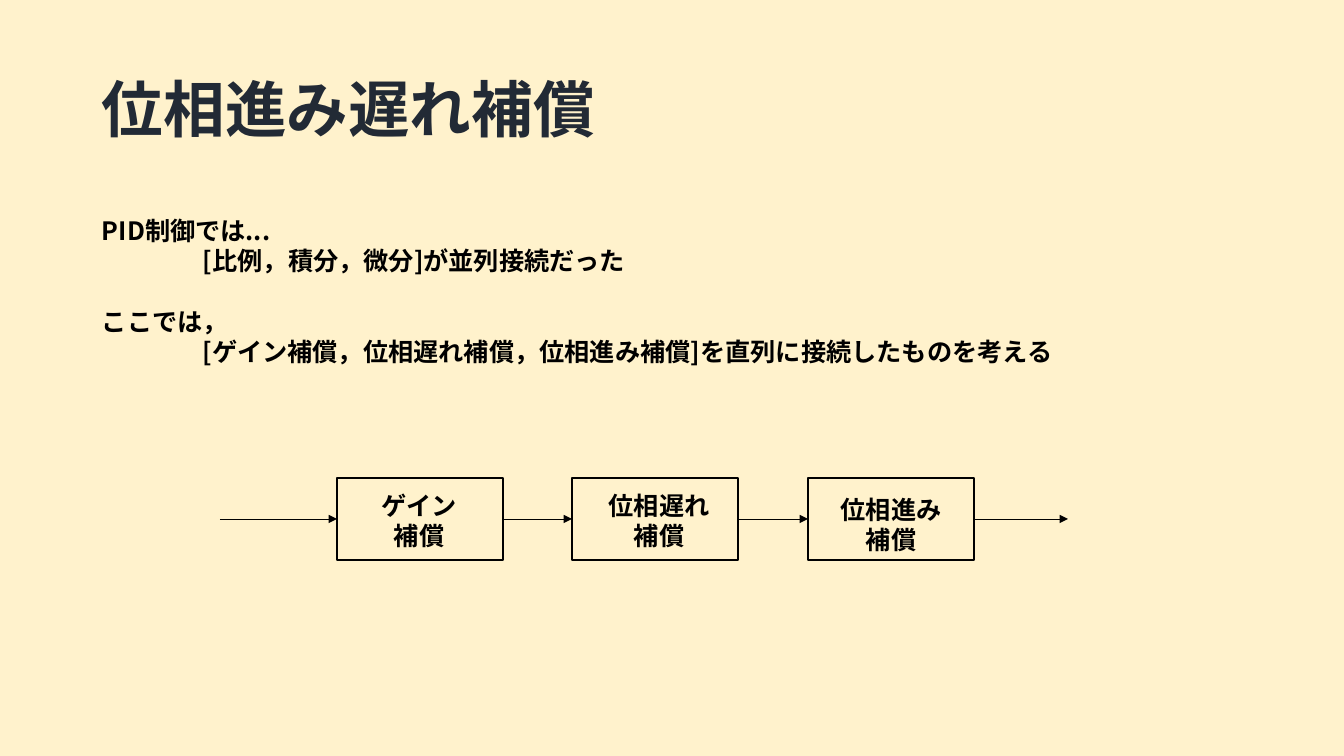
from dataclasses import dataclass

from lxml.etree import SubElement
from pptx import Presentation
from pptx.dml.color import RGBColor
from pptx.enum.lang import MSO_LANGUAGE_ID
from pptx.enum.shapes import MSO_CONNECTOR, MSO_SHAPE
from pptx.enum.text import MSO_ANCHOR, PP_ALIGN
from pptx.oxml.ns import qn
from pptx.shapes.autoshape import Shape
from pptx.slide import Slide
from pptx.text.text import _Paragraph
from pptx.util import Emu, Pt

SLIDE_WIDTH, SLIDE_HEIGHT = 1344, 756
EMU_PER_PX = 12192000 / SLIDE_WIDTH
FONT = "Noto Sans CJK JP"
COLORS = {"background": "FFF2CC", "title": "222A35", "ink": "000000"}

BLOCK_TOP, BLOCK_WIDTH, BLOCK_HEIGHT = 478, 166, 82
SIGNAL_Y = BLOCK_TOP + BLOCK_HEIGHT // 2
SIGNAL_START, SIGNAL_END = 220, 1068
LABEL_WIDTH, LABEL_HEIGHT = 126, 72
INDENT = 101
BODY_SIZE = 18


@dataclass
class Line:
    text: str
    indent: int = 0
    space_before: float = 0


@dataclass
class Block:
    left: int
    label_left: int
    label_top: int
    lines: list[Line]


BODY = [
    Line("PID制御では..."),
    Line("[比例，積分，微分]が並列接続だった", INDENT),
    Line("ここでは，", space_before=21.7),
    Line("[ゲイン補償，位相遅れ補償，位相進み補償]を直列に接続したものを考える", INDENT),
]
BLOCKS = [
    Block(337, 356, 485, [Line("ゲイン"), Line("補償")]),
    Block(572, 596, 485, [Line("位相遅れ"), Line("補償")]),
    Block(808, 828, 489, [Line("位相進み"), Line("補償")]),
]


def px(length: int) -> Emu:
    return Emu(round(length * EMU_PER_PX))


def color(name: str) -> RGBColor:
    return RGBColor.from_string(COLORS[name])


def add_run(paragraph: _Paragraph, text: str, size: int, color_name: str) -> None:
    run = paragraph.add_run()
    run.text = text
    font = run.font
    font.size = Pt(size)
    font.bold = True
    font.color.rgb = color(color_name)
    font.name = FONT
    font.language_id = MSO_LANGUAGE_ID.JAPANESE
    SubElement(font._element, qn("a:ea"), typeface=FONT)


def add_text(slide: Slide, left: int, top: int, width: int, height: int, lines: list[Line],
             size: int = BODY_SIZE, color_name: str = "ink",
             alignment: PP_ALIGN = PP_ALIGN.LEFT) -> Shape:
    box = slide.shapes.add_textbox(px(left), px(top), px(width), px(height))
    frame = box.text_frame
    frame.word_wrap = True
    for index, line in enumerate(lines):
        paragraph = frame.paragraphs[0] if index == 0 else frame.add_paragraph()
        paragraph.alignment = alignment
        if line.space_before:
            paragraph.space_before = Pt(line.space_before)
        if line.indent:
            paragraph._p.get_or_add_pPr().set("marL", str(px(line.indent)))
        add_run(paragraph, line.text, size, color_name)
    return box


def add_block(slide: Slide, block: Block) -> Shape:
    rectangle = slide.shapes.add_shape(MSO_SHAPE.RECTANGLE, px(block.left), px(BLOCK_TOP),
                                       px(BLOCK_WIDTH), px(BLOCK_HEIGHT))
    rectangle.shadow.inherit = False
    rectangle.fill.background()
    rectangle.line.color.rgb = color("ink")
    rectangle.line.width = Pt(1)
    add_text(slide, block.label_left, block.label_top, LABEL_WIDTH, LABEL_HEIGHT,
             block.lines, alignment=PP_ALIGN.CENTER)
    return rectangle


def add_signal(slide: Slide, source: Shape | None, target: Shape | None) -> None:
    """Draw an arrow between blocks; a missing block means the diagram's outer end."""
    arrow = slide.shapes.add_connector(MSO_CONNECTOR.STRAIGHT, px(SIGNAL_START), px(SIGNAL_Y),
                                       px(SIGNAL_END), px(SIGNAL_Y))
    if source is not None:
        arrow.begin_connect(source, 3)
    if target is not None:
        arrow.end_connect(target, 1)
    arrow.line.color.rgb = color("ink")
    arrow.line.width = Pt(0.5)
    SubElement(arrow.line._get_or_add_ln(), qn("a:tailEnd"), type="triangle")
    SubElement(arrow._element.spPr, qn("a:effectLst"))


def main() -> None:
    presentation = Presentation()
    presentation.slide_width = px(SLIDE_WIDTH)
    presentation.slide_height = px(SLIDE_HEIGHT)
    slide = presentation.slides.add_slide(presentation.slide_layouts[6])
    slide.background.fill.solid()
    slide.background.fill.fore_color.rgb = color("background")

    title = add_text(slide, 92, 40, 1159, 146, [Line("位相進み遅れ補償")], 44, "title")
    title.text_frame.vertical_anchor = MSO_ANCHOR.MIDDLE
    title.text_frame.paragraphs[0].line_spacing = 0.9
    add_text(slide, 92, 210, 1159, 224, BODY)

    rectangles = [add_block(slide, block) for block in BLOCKS]
    for source, target in zip([None, *rectangles], [*rectangles, None]):
        add_signal(slide, source, target)

    presentation.save("out.pptx")


if __name__ == "__main__":
    main()
